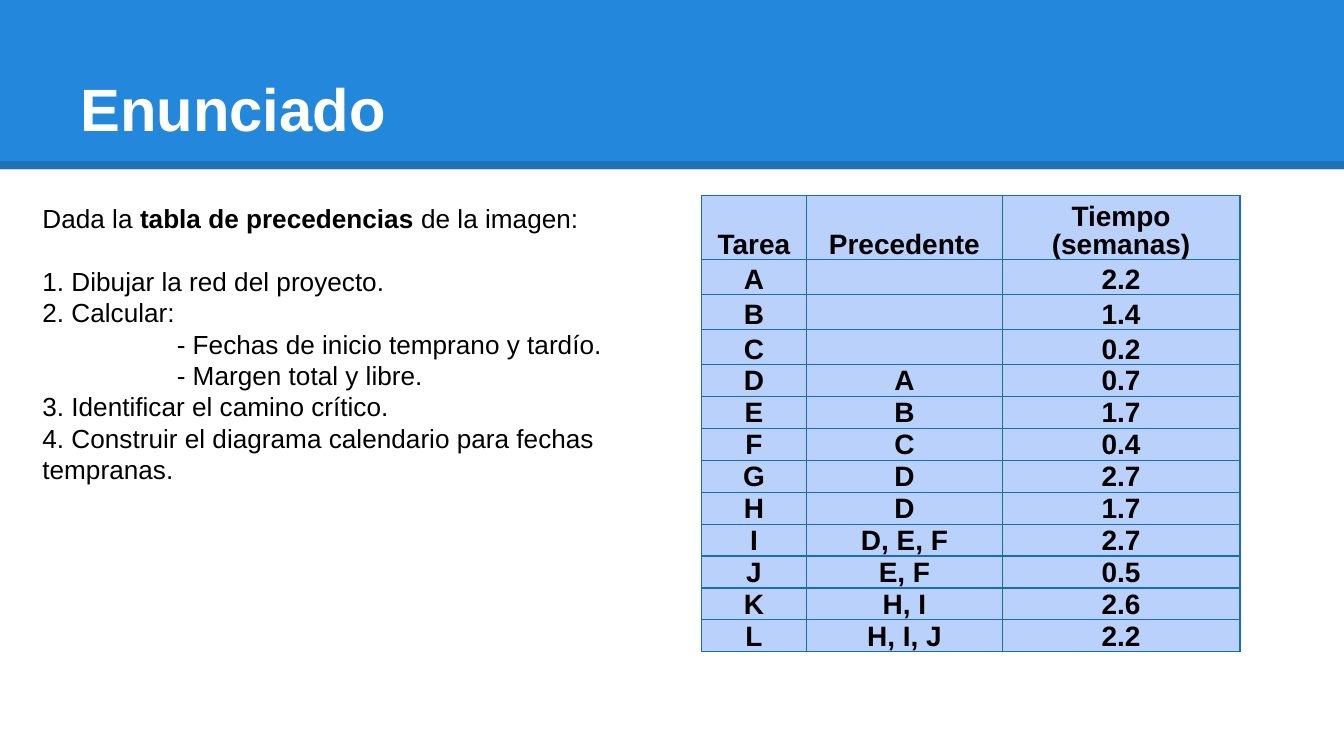
import lxml.etree
import pptx
import pptx.dml.color
import pptx.enum.shapes
import pptx.enum.text
import pptx.oxml.ns
import pptx.util

PX = 2286  # 400 px to the inch
WIDTH, HEIGHT = 4000, 2250
ANCHOR = pptx.enum.text.MSO_ANCHOR
CENTER = pptx.enum.text.PP_ALIGN.CENTER


def px(length):
    return pptx.util.Emu(length * PX)


def color(value):
    return pptx.dml.color.RGBColor.from_string(value)


def add_xml(parent, tag, **attributes):
    return lxml.etree.SubElement(parent, pptx.oxml.ns.qn(tag), **attributes)


class Deck:
    FONT = "Arial"
    BLUE, BORDER, CELL = "2388DB", "196DB2", "BAD1FC"
    BLACK, WHITE = "000000", "FFFFFF"

    def __init__(self):
        self.presentation = pptx.Presentation()
        self.presentation.slide_width = px(WIDTH)
        self.presentation.slide_height = px(HEIGHT)
        self.slide = self.presentation.slides.add_slide(self.presentation.slide_layouts[6])

    def style(self, paragraph, size, ink, bold=False):
        font = paragraph.font
        font.name, font.size, font.bold = self.FONT, pptx.util.Pt(size), bold
        font.color.rgb = color(ink)

    def band(self, x, y, width, height):
        band = self.slide.shapes.add_shape(
            pptx.enum.shapes.MSO_SHAPE.RECTANGLE, px(x), px(y), px(width), px(height))
        band.shadow.inherit = False
        band.fill.solid()
        band.fill.fore_color.rgb = color(self.BLUE)
        band.line.fill.background()

    def shade_line(self, x1, x2, y, points, opacity):
        line = self.slide.shapes.add_connector(
            pptx.enum.shapes.MSO_CONNECTOR.STRAIGHT, px(x1), px(y), px(x2), px(y))
        line.line.width = pptx.util.Pt(points)
        line.line.color.rgb = color(self.BLACK)
        properties = line._element.spPr
        ink = properties.find(".//" + pptx.oxml.ns.qn("a:srgbClr"))
        add_xml(ink, "a:alpha", val=str(opacity * 1000))
        add_xml(properties, "a:effectLst")

    def text_box(self, x, y, width, height):
        frame = self.slide.shapes.add_textbox(px(x), px(y), px(width), px(height)).text_frame
        frame.word_wrap = True
        return frame

    def title(self, text, x, y, width, height):
        frame = self.text_box(x, y, width, height)
        frame.vertical_anchor = ANCHOR.BOTTOM
        frame.margin_top = frame.margin_bottom = px(40)
        frame.text = text
        self.style(frame.paragraphs[0], 32, self.WHITE, bold=True)

    def statement(self, intro, steps, x, y, width, height):
        frame = self.text_box(x, y, width, height)
        opening = frame.paragraphs[0]
        for text, bold in intro:
            run = opening.add_run()
            run.text, run.font.bold = text, bold
        opening.space_after = pptx.util.Pt(16.8)
        for text, indent in steps:
            step = frame.add_paragraph()
            step.text = text
            step._p.get_or_add_pPr().set("marL", str(px(indent)))
        for paragraph in frame.paragraphs:
            self.style(paragraph, 14, self.BLACK)

    def cell(self, cell, text):
        cell.fill.solid()
        cell.fill.fore_color.rgb = color(self.CELL)
        cell.vertical_anchor = ANCHOR.BOTTOM
        cell.margin_left = cell.margin_right = cell.margin_top = px(4)
        cell.margin_bottom = 0
        cell.text = text
        paragraph = cell.text_frame.paragraphs[0]
        paragraph.alignment = CENTER
        paragraph.line_spacing = 0.9
        self.style(paragraph, 15, self.BLACK, bold=True)
        if not text:  # keeps an empty cell from growing its row
            add_xml(paragraph._p, "a:endParaRPr", sz="1500")
        # Borders come before the fill in the cell properties
        properties = cell._tc.get_or_add_tcPr()
        for place, side in enumerate(("a:lnL", "a:lnR", "a:lnT", "a:lnB")):
            border = add_xml(properties, side, w=str(pptx.util.Pt(0.75)))
            add_xml(add_xml(border, "a:solidFill"), "a:srgbClr", val=self.BORDER)
            properties.insert(place, border)

    def table(self, rows, x, y, widths, heights):
        table = self.slide.shapes.add_table(
            len(rows), len(widths), px(x), px(y), px(sum(widths)), px(sum(heights))).table
        for column, width in zip(table.columns, widths):
            column.width = px(width)
        for row, height, texts in zip(table.rows, heights, rows):
            row.height = px(height)
            for cell, text in zip(row.cells, texts):
                self.cell(cell, text)


INTRO = [("Dada la ", False), ("tabla de precedencias ", True), ("de la imagen:", False)]
STEPS = [
    ("1. Dibujar la red del proyecto.", 0),
    ("2. Calcular:", 0),
    ("- Fechas de inicio temprano y tardío.", 400),
    ("- Margen total y libre.", 400),
    ("3. Identificar el camino crítico.", 0),
    ("4. Construir el diagrama calendario para fechas tempranas.", 0),
]
TASKS = [
    ("Tarea", "Precedente", "Tiempo (semanas)"),
    ("A", "", "2.2"),
    ("B", "", "1.4"),
    ("C", "", "0.2"),
    ("D", "A", "0.7"),
    ("E", "B", "1.7"),
    ("F", "C", "0.4"),
    ("G", "D", "2.7"),
    ("H", "D", "1.7"),
    ("I", "D, E, F", "2.7"),
    ("J", "E, F", "0.5"),
    ("K", "H, I", "2.6"),
    ("L", "H, I, J", "2.2"),
]


def main():
    deck = Deck()
    # Header
    deck.band(0, 0, WIDTH, 504)
    deck.shade_line(0, WIDTH, 492, points=4.5, opacity=14)
    deck.title("Enunciado", 200, 90, 3600, 376)
    # Precedence table
    deck.table(TASKS, 2087, 583, [314, 582, 708], [190] + [95] * (len(TASKS) - 1))
    # Problem statement
    deck.statement(INTRO, STEPS, 87, 583, 2000, 888)
    deck.presentation.save("out.pptx")


if __name__ == "__main__":
    main()
